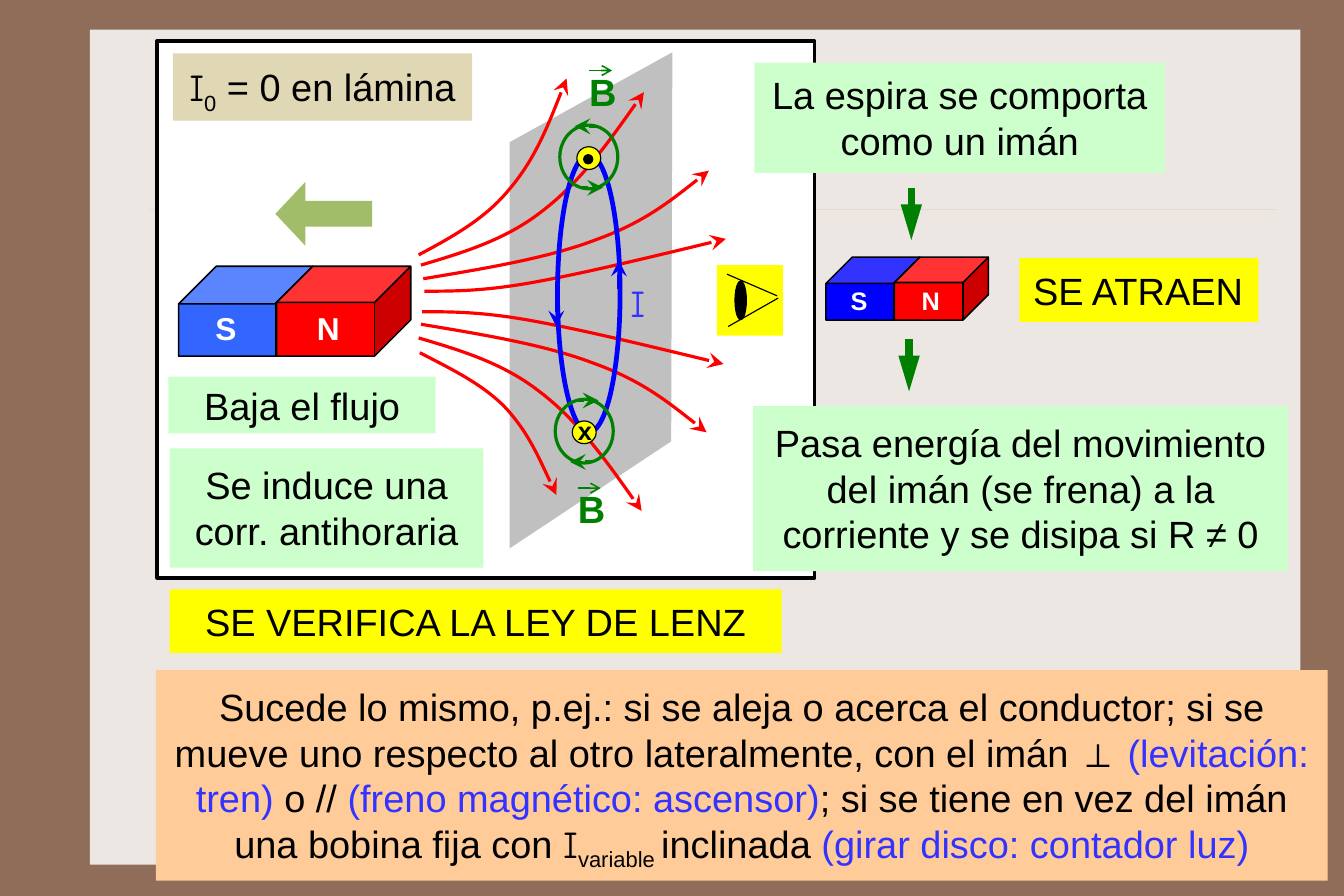
from lxml import etree
from pptx import Presentation
from pptx.dml.color import RGBColor
from pptx.enum.shapes import MSO_CONNECTOR, MSO_SHAPE
from pptx.enum.text import MSO_ANCHOR, PP_ALIGN
from pptx.oxml.ns import qn
from pptx.util import Cm, Pt

RECTANGLE, ELLIPSE = MSO_SHAPE.RECTANGLE, MSO_SHAPE.OVAL
CUBE, LEFT_ARROW = MSO_SHAPE.CUBE, MSO_SHAPE.LEFT_ARROW
STRAIGHT = MSO_CONNECTOR.STRAIGHT
LEFT, CENTER = PP_ALIGN.LEFT, PP_ALIGN.CENTER
TOP, MIDDLE = MSO_ANCHOR.TOP, MSO_ANCHOR.MIDDLE

CM_PER_UNIT = 2.54
SLIDE_SIZE = (189 / 16, 63 / 8)
SANS, COMIC = "Arial", "Comic Neue"
BLACK, WHITE, YELLOW, RED = "000000", "FFFFFF", "FFFF00", "FF0000"
GREEN, BLUE, VIOLET, MINT = "008000", "0000FF", "3333FF", "CCFFCC"
STEALTH, TRIANGLE, OPEN = ("stealth", "lg", "lg"), ("triangle", "med", "lg"), ("arrow", "med", "med")

SHEET = [(5.91, 0.46), (5.9, 3.88), (4.48, 4.82), (4.48, 1.25)]

MIRRORED_FIELD_LINES = [
    [(3.73, 2.56), (3.99, 2.56), (4.26, 2.56), (4.7, 2.48), (5.14, 2.4), (5.76, 2.25), (6.38, 2.1)],
    [(3.72, 2.45), (4.26, 2.36), (4.81, 2.27), (5.23, 2.11), (5.65, 1.96), (5.94, 1.73), (6.23, 1.5)],
    [(3.7, 2.33), (4.07, 2.22), (4.44, 2.11), (4.76, 1.86), (5.09, 1.61), (5.38, 1.21), (5.66, 0.81)],
]
OUTER_FIELD_LINES = [
    [(3.68, 2.24), (3.98, 2.08), (4.27, 1.92), (4.48, 1.66), (4.7, 1.4), (4.84, 1.05), (4.98, 0.69)],
    [(3.69, 3.1), (3.96, 3.24), (4.23, 3.37), (4.43, 3.57), (4.63, 3.78), (4.76, 4.07), (4.89, 4.35)],
]
FIELD_AXIS, MIRROR_SHIFT = 2.65, 0.02

MAGNETS = [(1.57, 2.34, 1, 0.33, 20, "3366FF"), (7.26, 2.26, 0.7, 0.2, 16, BLUE)]
WIRE_SECTIONS = [(4.88, 3.51, 1), (4.92, 1.1, -1)]
CURRENT_ARROWS = [((4.89, 2.62), (4.89, 2.87)), ((5.44, 2.54), (5.44, 2.29))]
VECTORS = [(4.98, 4.18), (5.08, 0.51)]
STEP_ARROWS = [((8.01, 1.65), (8.01, 2.11)), ((7.99, 2.98), (7.99, 3.44))]
EYELIDS = [((6.4, 2.87), (6.84, 2.62)), ((6.83, 2.6), (6.39, 2.41))]

SUMMARY = [
    ("Sucede lo mismo, p.ej.: si se aleja o acerca el conductor; si se mueve uno "
     "respecto al otro lateralmente, con el imán ⊥ ", {}),
    ("(levitación: tren) ", {"color": VIOLET}),
    ("o // ", {}),
    ("(freno magnético: ascensor)", {"color": VIOLET}),
    ("; si se tiene en vez del imán una bobina fija con ", {}),
    ("I", {"font": COMIC}),
    ("variable ", {"subscript": True}),
    ("inclinada ", {}),
    ("(girar disco: contador luz)", {"color": VIOLET}),
]
INITIAL_CURRENT = [("I", {"font": COMIC}), ("0", {"subscript": True}), (" = 0 en lámina", {})]

WIDE, MEDIUM, NARROW, PLAIN = (0.16, 0.12), (0.12, 0.08), (0.1, 0.09), (0.1, 0.05)
BOXES = [
    ((1.37, 5.89, 10.3, 1.85), "FFCC99", WIDE, SUMMARY, {}),
    ((1.52, 0.47, 2.63, 0.59), "E0D7B5", NARROW, INITIAL_CURRENT, {"wrap": False}),
    ((1.48, 3.31, 2.35, 0.5), MINT, PLAIN, "Baja el flujo", {}),
    ((8.96, 2.27, 2.1, 0.56), YELLOW, MEDIUM, "SE ATRAEN",
     {"align": LEFT, "anchor": MIDDLE, "wrap": False}),
    ((6.62, 3.57, 4.7, 1.45), MINT, WIDE,
     "Pasa energía del movimiento del imán (se frena) a la corriente y se disipa si R ≠ 0", {}),
    ((1.49, 5.18, 5.38, 0.56), YELLOW, MEDIUM, "SE VERIFICA LA LEY DE LENZ", {"anchor": MIDDLE}),
    ((6.63, 0.55, 3.61, 0.97), MINT, MEDIUM, "La espira se comporta como un imán", {}),
    ((1.49, 3.94, 2.76, 1.05), MINT, WIDE, "Se induce una corr. antihoraria", {}),
]


def length(value):
    return Cm(value * CM_PER_UNIT)


def rgb(color):
    return RGBColor.from_string(color)


def style(shape, fill=None, line=None, width=1):
    shape.shadow.inherit = False
    if fill:
        shape.fill.solid()
        shape.fill.fore_color.rgb = rgb(fill)
    else:
        shape.fill.background()
    if line:
        shape.line.color.rgb = rgb(line)
        shape.line.width = Pt(width)
    else:
        shape.line.fill.background()


def add_shape(kind, box, fill=None, line=None, width=1, adjustments=(), rotation=0):
    shape = slide.shapes.add_shape(kind, *map(length, box))
    style(shape, fill, line, width)
    for index, value in enumerate(adjustments):
        shape.adjustments[index] = value
    shape.rotation = rotation
    return shape


def add_arrowhead(shape, head):
    kind, breadth, extent = head
    etree.SubElement(shape.line._get_or_add_ln(), qn("a:tailEnd"), type=kind, w=breadth, len=extent)


def add_line(start, end, color, width, head=None):
    connector = slide.shapes.add_connector(STRAIGHT, *map(length, (*start, *end)))
    connector.line.color.rgb = rgb(color)
    connector.line.width = Pt(width)
    if head:
        add_arrowhead(connector, head)
    etree.SubElement(connector._element.spPr, qn("a:effectLst"))
    return connector


def add_outline(points, close):
    (first, *others) = [tuple(map(length, point)) for point in points]
    builder = slide.shapes.build_freeform(*first)
    builder.add_line_segments(others, close=close)
    return builder.convert_to_shape()


def add_field_line(points):
    shape = add_outline(points, False)
    style(shape, line=RED, width=2)
    add_arrowhead(shape, STEALTH)
    outline = next(shape._element.iter(qn("a:path")))
    segments = outline.findall(qn("a:lnTo"))
    for index in range(0, len(segments), 3):
        curve = etree.SubElement(outline, qn("a:cubicBezTo"))
        for segment in segments[index:index + 3]:
            curve.append(segment[0])
            outline.remove(segment)


def write(shape, content, inset=PLAIN, size=24, color=BLACK, font=SANS, bold=False,
          align=CENTER, anchor=TOP, wrap=True):
    frame = shape.text_frame
    frame.word_wrap = wrap
    frame.vertical_anchor = anchor
    frame.margin_left = frame.margin_right = length(inset[0])
    frame.margin_top = frame.margin_bottom = length(inset[1])
    paragraph = frame.paragraphs[0]
    paragraph.alignment = align
    paragraph.font.size = Pt(size)
    paragraph.font.name = font
    paragraph.font.bold = bold
    paragraph.font.color.rgb = rgb(color)
    for text, changes in [(content, {})] if isinstance(content, str) else content:
        run = paragraph.add_run()
        run.text = text
        if "font" in changes:
            run.font.name = changes["font"]
        if "color" in changes:
            run.font.color.rgb = rgb(changes["color"])
        if "subscript" in changes:
            run._r.get_or_add_rPr().set("baseline", "-25000")


def add_label(box, text, **options):
    write(slide.shapes.add_textbox(*map(length, box)), text, **options)


def add_magnet(left, top, scale, drop, size, south):
    for letter, offset, fill, depth, shift in (("S", 0, south, 0.418, 0.14), ("N", 0.86, RED, 0.403, 1.04)):
        add_shape(CUBE, (left + offset * scale, top, 1.18 * scale, 0.79 * scale), fill, BLACK, 1, [depth])
        add_label((left + shift * scale, top + drop, 0.55 * scale, 0.46 * scale), letter,
                  size=size, color=WHITE, bold=True)


def add_wire_section(left, top, sense):
    add_shape(ELLIPSE, (left, top, 0.51, 0.56), None, GREEN, 2)
    for direction, drop in ((sense, 0.01), (-sense, 0.55)):
        middle = left + 0.255 + 0.03 * direction
        reach = 0.095 * direction
        add_line((middle - reach, top + drop), (middle + reach, top + drop), GREEN, 2, STEALTH)
    add_shape(ELLIPSE, (left + 0.15, top + 0.19, 0.21, 0.2), YELLOW, BLACK, 0.75)
    if sense > 0:
        add_label((left + 0.1, top + 0.09, 0.32, 0.37), "x", size=16, bold=True, align=LEFT, wrap=False)
    else:
        add_shape(ELLIPSE, (left + 0.21, top + 0.26, 0.08, 0.08), BLACK, BLACK, 0.75)


presentation = Presentation()
presentation.slide_width, presentation.slide_height = map(length, SLIDE_SIZE)
slide = presentation.slides.add_slide(presentation.slide_layouts[6])
slide.background.fill.solid()
slide.background.fill.fore_color.rgb = rgb("906D58")

add_shape(RECTANGLE, (0.79, 0.26, 10.64, 7.34), "EDE7E3")
rule = add_line((1.31, 1.84), (11.22, 1.84), "CBBD83", 0.25)
etree.SubElement(next(rule._element.iter(qn("a:srgbClr"))), qn("a:alpha"), val="40000")
add_shape(RECTANGLE, (1.38, 0.36, 5.78, 4.72), WHITE, BLACK, 2)
style(add_outline(SHEET, True), "C0C0C0")

mirrored = [[(x - MIRROR_SHIFT, 2 * FIELD_AXIS - y) for x, y in points] for points in MIRRORED_FIELD_LINES]
for points in OUTER_FIELD_LINES + MIRRORED_FIELD_LINES + mirrored:
    add_field_line(points)
for magnet in MAGNETS:
    add_magnet(*magnet)

add_shape(ELLIPSE, (4.9, 1.36, 0.55, 2.44), None, BLUE, 3)
add_label((5.4, 2.29, 0.46, 0.75), "I", inset=(0.14, 0.17), color=VIOLET, font=COMIC, align=LEFT, wrap=False)
for section in WIRE_SECTIONS:
    add_wire_section(*section)
for start, end in CURRENT_ARROWS:
    add_line(start, end, BLUE, 2, STEALTH)
for left, top in VECTORS:
    add_label((left, top, 0.44, 0.59), "B", inset=NARROW, color=GREEN, bold=True, align=LEFT, wrap=False)
    add_line((left + 0.1, top + 0.11), (left + 0.3, top + 0.11), GREEN, 1, OPEN)

for box, fill, inset, content, options in BOXES:
    write(add_shape(RECTANGLE, box, fill), content, inset, **options)
add_shape(LEFT_ARROW, (2.42, 1.6, 0.85, 0.56), "A1BD69", adjustments=(0.406, 0.471))
for start, end in STEP_ARROWS:
    add_line(start, end, GREEN, 4.5, TRIANGLE)

add_shape(RECTANGLE, (6.3, 2.33, 0.58, 0.62), YELLOW, rotation=180)
for start, end in EYELIDS:
    add_line(start, end, BLACK, 0.75)
add_shape(ELLIPSE, (6.46, 2.47, 0.1, 0.34), BLACK, BLACK, 0.75, rotation=180)

presentation.save("out.pptx")
